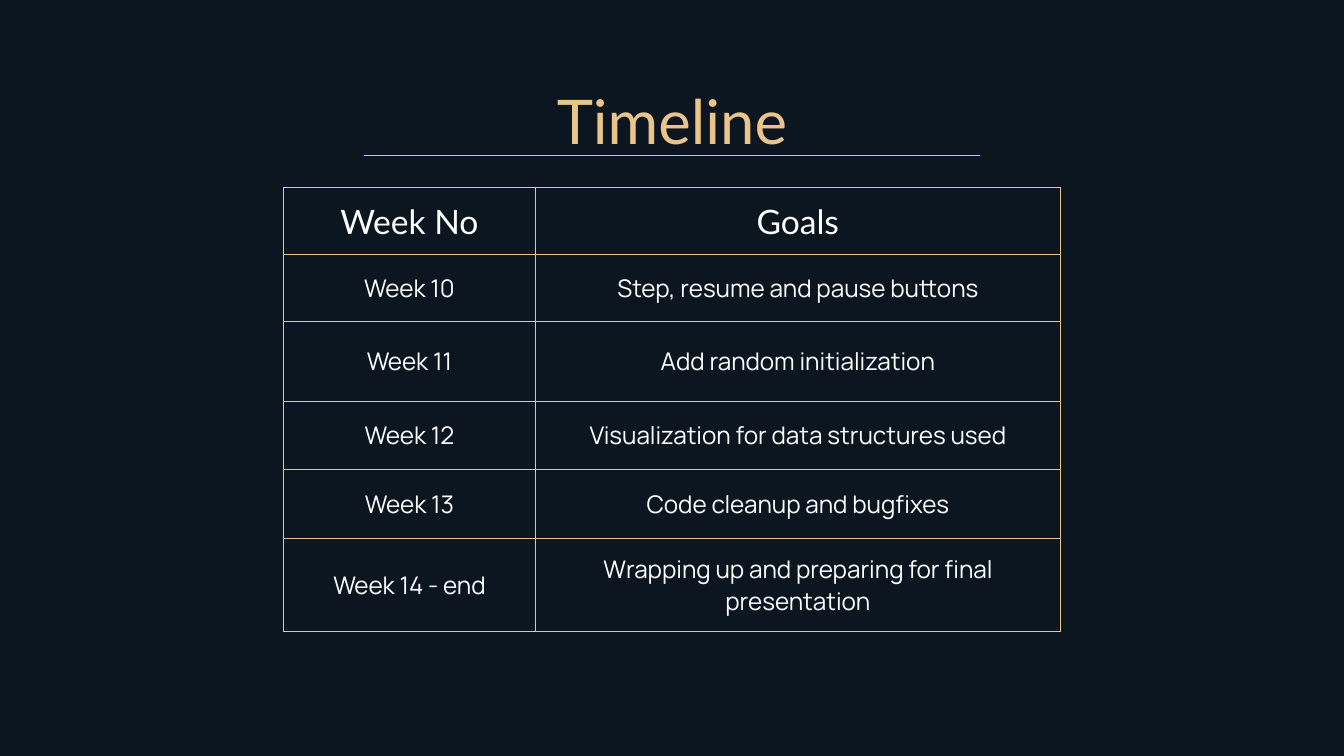
from lxml.etree import SubElement
from pptx import Presentation
from pptx.dml.color import RGBColor
from pptx.enum.shapes import MSO_CONNECTOR
from pptx.enum.text import MSO_ANCHOR, PP_ALIGN
from pptx.oxml.ns import qn
from pptx.util import Inches, Pt

NAVY, GOLD, WHITE = "0C1621", "EAC488", "FFFFFF"
BORDER = 0.75
INSET = Inches(0.1)
COL_SHARES = (0.324, 0.676)
ROW_SHARES = (0.15, 0.15, 0.18, 0.155, 0.155, 0.21)
ROWS = [
    ("Week No", "Goals"),
    ("Week 10", "Step, resume and pause buttons"),
    ("Week 11", "Add random initialization"),
    ("Week 12", "Visualization for data structures used"),
    ("Week 13", "Code cleanup and bugfixes"),
    ("Week 14 - end", "Wrapping up and preparing for final presentation"),
]


def rgb(color):
    return RGBColor.from_string(color)


def set_text(tf, text, font, size, color):
    tf.text = text
    p = tf.paragraphs[0]
    p.alignment = PP_ALIGN.CENTER
    f = p.runs[0].font
    f.name, f.size, f.bold = font, Pt(size), False
    f.color.rgb = rgb(color)


def set_insets(obj):
    obj.margin_left = obj.margin_right = INSET
    obj.margin_top = obj.margin_bottom = INSET
    obj.vertical_anchor = MSO_ANCHOR.MIDDLE


def set_borders(cell, color):
    pr = cell._tc.get_or_add_tcPr()
    for i, side in enumerate(("lnL", "lnR", "lnT", "lnB")):
        ln = pr.makeelement(qn(f"a:{side}"), {"w": str(Pt(BORDER))})
        fill = SubElement(ln, qn("a:solidFill"))
        SubElement(fill, qn("a:srgbClr"), val=color)
        pr.insert(i, ln)


def add_title(s, text, x, y, w, h):
    sp = s.shapes.title
    sp.left, sp.top, sp.width, sp.height = x, y, w, h
    tf = sp.text_frame
    tf.word_wrap = True
    set_insets(tf)
    set_text(tf, text, "Lato", 33, GOLD)


def add_rule(s, x, y, w):
    line = s.shapes.add_connector(MSO_CONNECTOR.STRAIGHT, x, y, x + w, y)
    line.line.color.rgb = rgb(GOLD)
    line.line.width = Pt(BORDER)
    SubElement(line._element.spPr, qn("a:effectLst"))


def add_timeline(s, rows, x, y, w, h):
    table = s.shapes.add_table(len(rows), len(COL_SHARES), x, y, w, h).table
    table.first_row = table.horz_banding = False
    for col, share in zip(table.columns, COL_SHARES):
        col.width = int(w * share)
    for i, (row, share, texts) in enumerate(zip(table.rows, ROW_SHARES, rows)):
        row.height = int(h * share)
        font, size = ("Manrope", 13) if i else ("Lato", 18)
        for cell, text in zip(row.cells, texts):
            cell.fill.background()
            set_insets(cell)
            set_text(cell.text_frame, text, font, size, WHITE)
            set_borders(cell, GOLD)


def main():
    prs = Presentation()
    prs.slide_width = W = Inches(10)
    prs.slide_height = H = W * 9 // 16
    s = prs.slides.add_slide(prs.slide_layouts[5])
    s.background.fill.solid()
    s.background.fill.fore_color.rgb = rgb(NAVY)

    def box(x, y, w, h):
        return int(x * W), int(y * H), int(w * W), int(h * H)

    add_rule(s, *box(0.271, 0.206, 0.458, 0)[:3])
    add_title(s, "Timeline", *box(0.078, 0.112, 0.844, 0.093))
    add_timeline(s, ROWS, *box(0.211, 0.248, 0.578, 0.587))
    prs.save("out.pptx")


if __name__ == "__main__":
    main()
